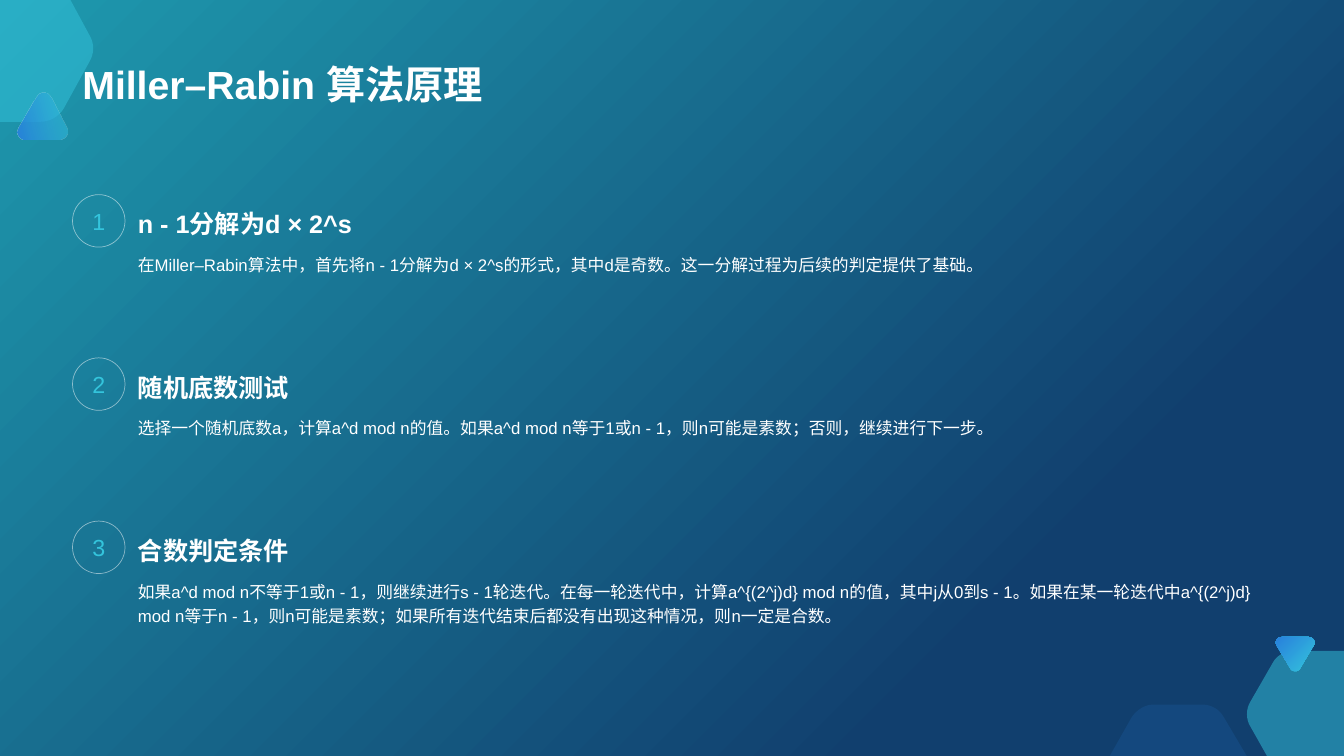
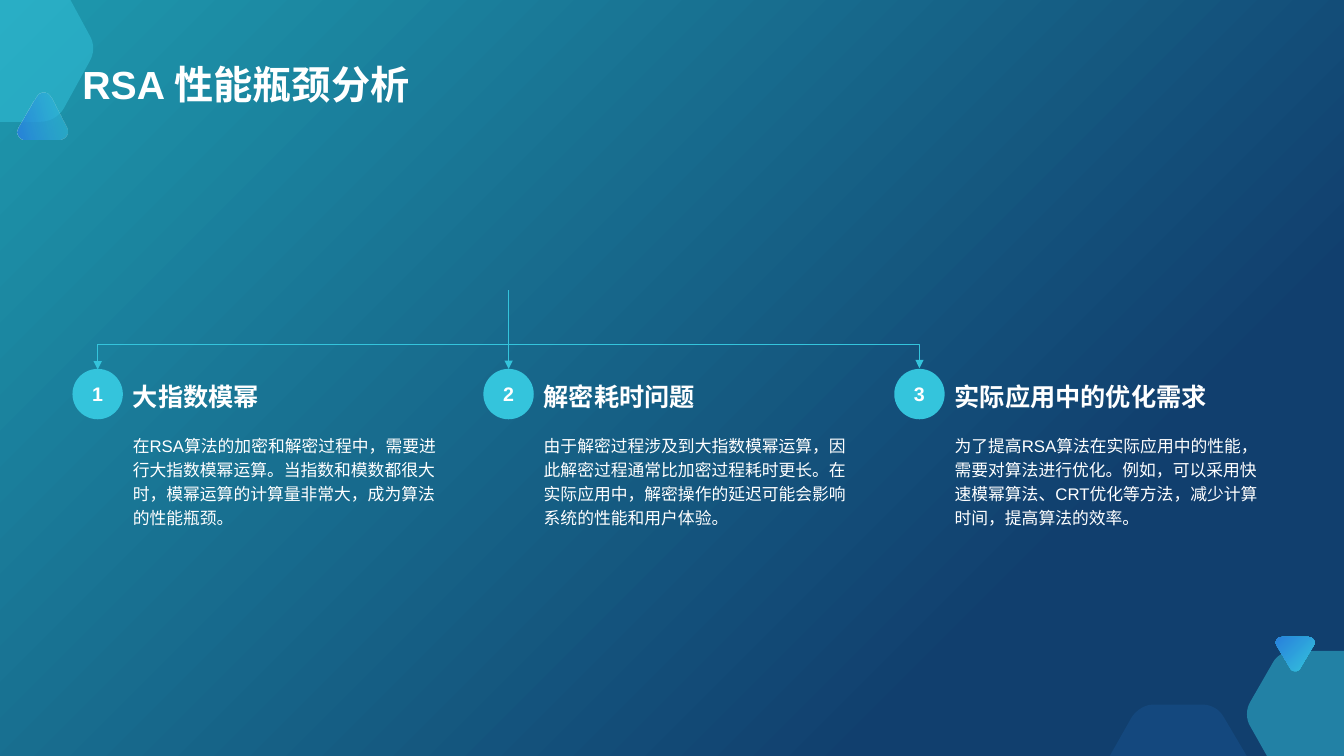
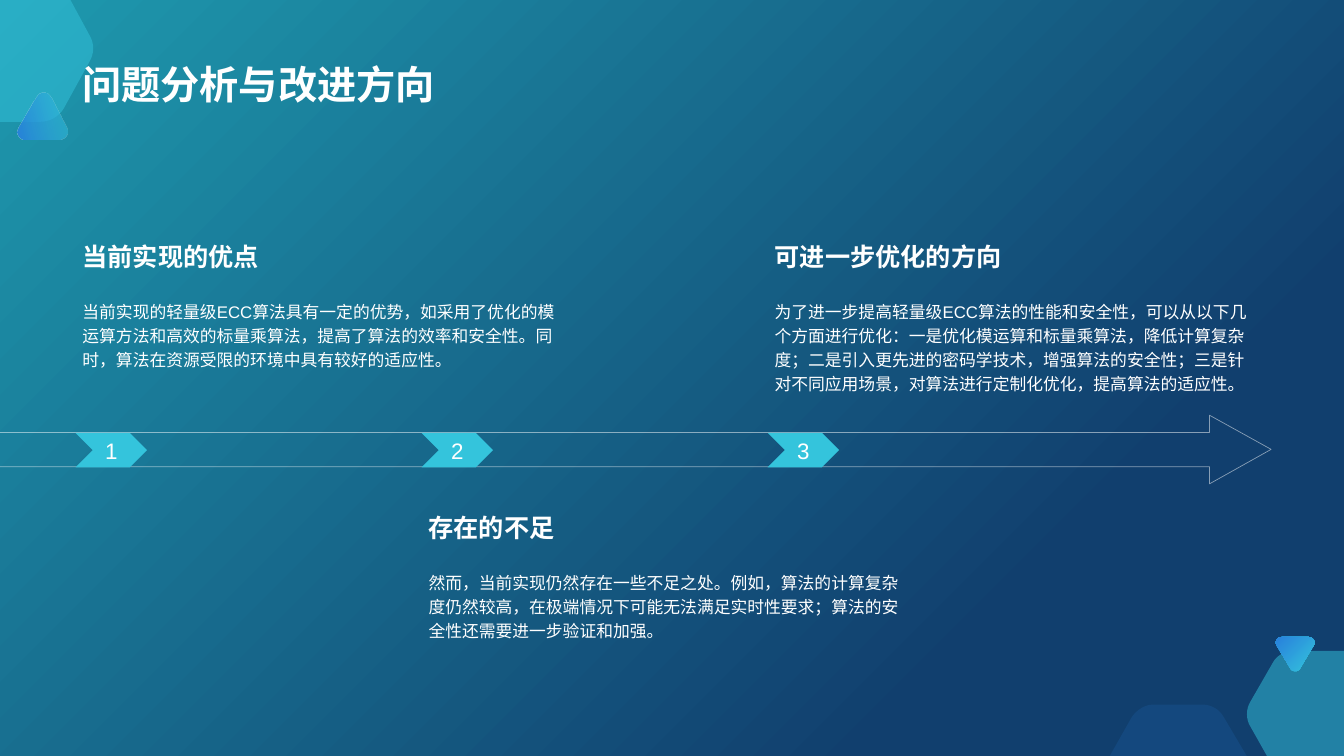
from dataclasses import dataclass

from lxml.etree import SubElement
from pptx import Presentation
from pptx.dml.color import RGBColor
from pptx.enum.lang import MSO_LANGUAGE_ID
from pptx.enum.shapes import MSO_CONNECTOR, MSO_SHAPE
from pptx.enum.text import MSO_ANCHOR, PP_ALIGN
from pptx.oxml.ns import qn
from pptx.util import Pt

TEAL = RGBColor(0x1E, 0x99, 0xAE)
NAVY = RGBColor(0x11, 0x3F, 0x6E)
CYAN = RGBColor(0x34, 0xC4, 0xDC)
BLUE = RGBColor(0x28, 0x81, 0xDC)
WHITE = RGBColor(0xFF, 0xFF, 0xFF)
FONT = "Arial"
MARGIN = 51.8
CONTENT_WIDTH = 855.4
CURVE_STEPS = 8


@dataclass(frozen=True)
class Box:
    left: float
    top: float
    width: float
    height: float

    def lengths(self) -> tuple:
        return Pt(self.left), Pt(self.top), Pt(self.width), Pt(self.height)


@dataclass(frozen=True)
class Topic:
    heading: str
    body: str


@dataclass(frozen=True)
class Ornament:
    """Outline steps are points (x, y) or curves (x1, y1, x2, y2, x, y)."""
    outline: tuple
    colors: tuple
    opacities: tuple
    angle: float = 0


ORNAMENTS = (
    Ornament(((0, 0), (50.4, 0), (64, 25.2), (67.5, 31, 67.5, 38, 64, 44),
              (45.4, 77.8), (41.8, 83.5, 35.3, 87, 28.8, 87), (0, 87)),
             (CYAN,), (50,)),
    Ornament(((923.8, 465), (960, 465), (960, 540), (905, 540), (892.8, 518.4),
              (890, 513.4, 890, 506.9, 892.8, 501.8), (909.4, 473),
              (912.2, 468, 918, 465, 923.8, 465)),
             (CYAN,), (50,)),
    Ornament(((928.8, 477.4), (938.2, 461.5), (940.3, 458.6, 938.2, 455, 934.6, 455),
              (915.8, 455), (912.2, 455, 910.1, 458.6, 912.2, 461.5),
              (921.6, 477.4), (923, 480.2, 927.4, 480.2, 928.8, 477.4)),
             (CYAN, BLUE), (100, 100), 225),
    Ornament(((823.7, 503.3), (859, 503.3), (865.4, 503.3, 871.2, 506.9, 874, 512),
              (890.6, 540), (792.7, 540), (808.6, 512),
              (812.2, 506.9, 817.9, 503.3, 823.7, 503.3)),
             (BLUE,), (15,)),
    Ornament(((47.5, 90.7), (36, 69.1), (33.8, 64.8, 28.1, 64.8, 25.9, 69.1),
              (13, 90.7), (10.8, 95, 13.7, 99.4, 18, 99.4), (42.5, 99.4),
              (46.8, 98.6, 49.7, 94.3, 47.5, 90.7)),
             (CYAN, BLUE), (50, 96), 165),
)

PRINCIPLE_STEPS = (
    Topic("n - 1分解为d × 2^s",
          "在Miller–Rabin算法中，首先将n - 1分解为d × 2^s的形式，其中d是奇数。"
          "这一分解过程为后续的判定提供了基础。"),
    Topic("随机底数测试",
          "选择一个随机底数a，计算a^d mod n的值。如果a^d mod n等于1或n - 1，"
          "则n可能是素数；否则，继续进行下一步。"),
    Topic("合数判定条件",
          "如果a^d mod n不等于1或n - 1，则继续进行s - 1轮迭代。在每一轮迭代中，"
          "计算a^{(2^j)d} mod n的值，其中j从0到s - 1。如果在某一轮迭代中"
          "a^{(2^j)d} mod n等于n - 1，则n可能是素数；"
          "如果所有迭代结束后都没有出现这种情况，则n一定是合数。"),
)
BOTTLENECKS = (
    Topic("大指数模幂",
          "在RSA算法的加密和解密过程中，需要进行大指数模幂运算。"
          "当指数和模数都很大时，模幂运算的计算量非常大，成为算法的性能瓶颈。"),
    Topic("解密耗时问题",
          "由于解密过程涉及到大指数模幂运算，因此解密过程通常比加密过程耗时更长。"
          "在实际应用中，解密操作的延迟可能会影响系统的性能和用户体验。"),
    Topic("实际应用中的优化需求",
          "为了提高RSA算法在实际应用中的性能，需要对算法进行优化。"
          "例如，可以采用快速模幂算法、CRT优化等方法，减少计算时间，提高算法的效率。"),
)
DIRECTIONS = (
    Topic("当前实现的优点",
          "当前实现的轻量级ECC算法具有一定的优势，如采用了优化的模运算方法和高效的标量乘算法，"
          "提高了算法的效率和安全性。同时，算法在资源受限的环境中具有较好的适应性。"),
    Topic("存在的不足",
          "然而，当前实现仍然存在一些不足之处。例如，算法的计算复杂度仍然较高，"
          "在极端情况下可能无法满足实时性要求；算法的安全性还需要进一步验证和加强。"),
    Topic("可进一步优化的方向",
          "为了进一步提高轻量级ECC算法的性能和安全性，可以从以下几个方面进行优化："
          "一是优化模运算和标量乘算法，降低计算复杂度；"
          "二是引入更先进的密码学技术，增强算法的安全性；"
          "三是针对不同应用场景，对算法进行定制化优化，提高算法的适应性。"),
)


def set_opacity(shape, *percents: float) -> None:
    """Give the shape's RGB colours, in document order, these opacities."""
    for color, percent in zip(shape.element.spPr.iter(qn("a:srgbClr")), percents):
        SubElement(color, qn("a:alpha"), val=str(round(percent * 1000)))


def fill_gradient(fill, colors: tuple, last_stop: float, angle: float) -> None:
    """Fill with two colours along a clockwise angle."""
    fill.gradient()
    fill.gradient_angle = (360 - angle) % 360
    for stop, color, position in zip(fill.gradient_stops, colors, (0, last_stop)):
        stop.color.rgb = color
        stop.position = position


def set_text(shape, text: str, size: float, color: RGBColor = WHITE, bold: bool = False) -> None:
    shape.text_frame.text = text
    font = shape.text_frame.paragraphs[0].runs[0].font
    font.size, font.bold, font.name = Pt(size), bold, FONT
    font.color.rgb = color
    font.language_id = MSO_LANGUAGE_ID.SIMPLIFIED_CHINESE
    SubElement(font._element, qn("a:ea"), typeface=FONT)


def add_text(slide, box: Box, text: str, size: float, bold: bool = False,
             anchor: MSO_ANCHOR = MSO_ANCHOR.TOP, spacing: float = 1.2) -> None:
    label = slide.shapes.add_textbox(*box.lengths())
    set_text(label, text, size, bold=bold)
    label.text_frame.word_wrap = True
    label.text_frame.vertical_anchor = anchor
    label.text_frame.paragraphs[0].line_spacing = spacing


def add_topic(slide, topic: Topic, heading: Box, body: Box) -> None:
    add_text(slide, heading, topic.heading, 18, True, MSO_ANCHOR.MIDDLE)
    add_text(slide, body, topic.body, 12)


def add_marker(slide, preset: MSO_SHAPE, box: Box, number: int, size: float,
               bold: bool = False, outlined: bool = False):
    marker = slide.shapes.add_shape(preset, *box.lengths())
    marker.shadow.inherit = False
    if outlined:
        marker.fill.background()
        outline_faintly(marker)
    else:
        marker.fill.solid()
        marker.fill.fore_color.rgb = CYAN
        marker.line.fill.background()
    set_text(marker, str(number), size, CYAN if outlined else WHITE, bold)
    marker.text_frame.word_wrap = False
    marker.text_frame.vertical_anchor = MSO_ANCHOR.MIDDLE
    marker.text_frame.paragraphs[0].alignment = PP_ALIGN.CENTER
    return marker


def outline_faintly(shape) -> None:
    shape.line.color.rgb = WHITE
    shape.line.width = Pt(0.5)
    set_opacity(shape, 50)


def flatten(outline: tuple) -> list:
    """Turn points and cubic curves into plain points."""
    points = []
    for step in outline:
        if len(step) == 2:
            points.append(step)
            continue
        controls = (points[-1], step[:2], step[2:4], step[4:])
        for i in range(1, CURVE_STEPS + 1):
            t = i / CURVE_STEPS
            weights = ((1 - t) ** 3, 3 * t * (1 - t) ** 2, 3 * t ** 2 * (1 - t), t ** 3)
            points.append(tuple(sum(w * c[axis] for w, c in zip(weights, controls))
                                for axis in (0, 1)))
    return points


def add_outline(slide, outline: tuple, close: bool):
    start, *rest = [(Pt(x), Pt(y)) for x, y in flatten(outline)]
    builder = slide.shapes.build_freeform(*start)
    builder.add_line_segments(rest, close=close)
    shape = builder.convert_to_shape()
    shape.shadow.inherit = False
    return shape


def decorate_master(prs, slide) -> None:
    """Draw the ornaments on a slide, then hand them to the master."""
    fill_gradient(prs.slide_master.background.fill, (TEAL, NAVY), 0.77, 45)
    for ornament in ORNAMENTS:
        shape = add_outline(slide, ornament.outline, close=True)
        shape.line.fill.background()
        if len(ornament.colors) == 1:
            shape.fill.solid()
            shape.fill.fore_color.rgb = ornament.colors[0]
        else:
            fill_gradient(shape.fill, ornament.colors, 1, ornament.angle)
        set_opacity(shape, *ornament.opacities)
        prs.slide_master.shapes.element.append(shape.element)


def add_titled_slide(prs, title: str):
    slide = prs.slides.add_slide(prs.slide_layouts[6])
    add_text(slide, Box(MARGIN, 10, CONTENT_WIDTH, 70.4), title, 28, True,
             MSO_ANCHOR.BOTTOM, 1.0)
    return slide


def add_arrow(slide, kind: MSO_CONNECTOR, start: tuple, end: tuple, ends: tuple):
    arrow = slide.shapes.add_connector(kind, *(Pt(v) for v in start + end))
    arrow.line.color.rgb = CYAN
    arrow.line.width = Pt(0.5)
    for end_tag in ends:
        SubElement(arrow.line._get_or_add_ln(), qn(end_tag), type="triangle")
    SubElement(arrow.element.spPr, qn("a:effectLst"))
    return arrow


def add_bracket(slide, left: float, right: float, bottom: float, rise: int) -> None:
    """Join two points of one height by a double arrow that runs above them."""
    middle, span, thickness = (left + right) / 2, right - left, 1
    bracket = add_arrow(slide, MSO_CONNECTOR.ELBOW,
                        (middle - thickness / 2, bottom - span / 2),
                        (middle + thickness / 2, bottom + span / 2),
                        ("a:headEnd", "a:tailEnd"))
    xfrm = bracket.element.spPr.find(qn("a:xfrm"))
    for name, value in (("rot", "5400000"), ("flipH", "1"), ("flipV", "1")):
        xfrm.set(name, value)
    geometry = bracket.element.spPr.find(qn("a:prstGeom"))
    adjustments = geometry.find(qn("a:avLst"))
    SubElement(adjustments, qn("a:gd"), name="adj1", fmla=f"val {rise * 100000 // thickness}")


def build_principle(slide) -> None:
    circle, pitch, text_left, text_width = 37.5, 116.6, 91.4, 815.8
    for i, step in enumerate(PRINCIPLE_STEPS):
        top = 139 + i * pitch
        add_marker(slide, MSO_SHAPE.OVAL, Box(MARGIN, top, circle, circle), i + 1, 16.6,
                   outlined=True)
        add_topic(slide, step, Box(text_left, top, text_width, circle),
                  Box(text_left, top + 36.7, text_width, 73.4))


def build_bottlenecks(slide) -> None:
    disc, pitch, top, text_width = 36, 293.5, 263.5, 231.8
    discs = []
    for i, bottleneck in enumerate(BOTTLENECKS):
        left = MARGIN + i * pitch
        add_topic(slide, bottleneck, Box(left + disc, top, text_width, 34.5),
                  Box(left + disc, 304.6, text_width, 178.6))
        discs.append(add_marker(slide, MSO_SHAPE.OVAL, Box(left, top, disc, disc), i + 1, 14,
                                bold=True))
    first, middle, last = (MARGIN + disc / 2 + i * pitch for i in range(3))
    add_bracket(slide, first, last, top, 18)
    trunk = add_arrow(slide, MSO_CONNECTOR.STRAIGHT, (middle, 207.4), (middle, top),
                      ("a:tailEnd",))
    trunk.end_connect(discs[1], 0)


def build_directions(slide) -> None:
    pitch, text_width = 247.2, 360.7
    band = add_outline(slide, ((0, 309), (864, 309), (864, 296.6), (908, 321),
                               (864, 345.6), (864, 333.4), (0, 333.4)), close=False)
    band.fill.background()
    outline_faintly(band)
    for i, direction in enumerate(DIRECTIONS):
        left, top = MARGIN + i * pitch, 355.7 if i % 2 else 162
        add_marker(slide, MSO_SHAPE.CHEVRON, Box(left + 2.2, 309.3, 51, 24.5), i + 1, 16)
        add_topic(slide, direction, Box(left, top, text_width, 38),
                  Box(left, top + 46.8, text_width, 80.6))


def main() -> None:
    prs = Presentation()
    prs.slide_width, prs.slide_height = Pt(960), Pt(540)
    pages = (("Miller–Rabin 算法原理", build_principle),
             ("RSA 性能瓶颈分析", build_bottlenecks),
             ("问题分析与改进方向", build_directions))
    for title, build in pages:
        build(add_titled_slide(prs, title))
    decorate_master(prs, prs.slides[0])
    prs.save("out.pptx")


if __name__ == "__main__":
    main()
